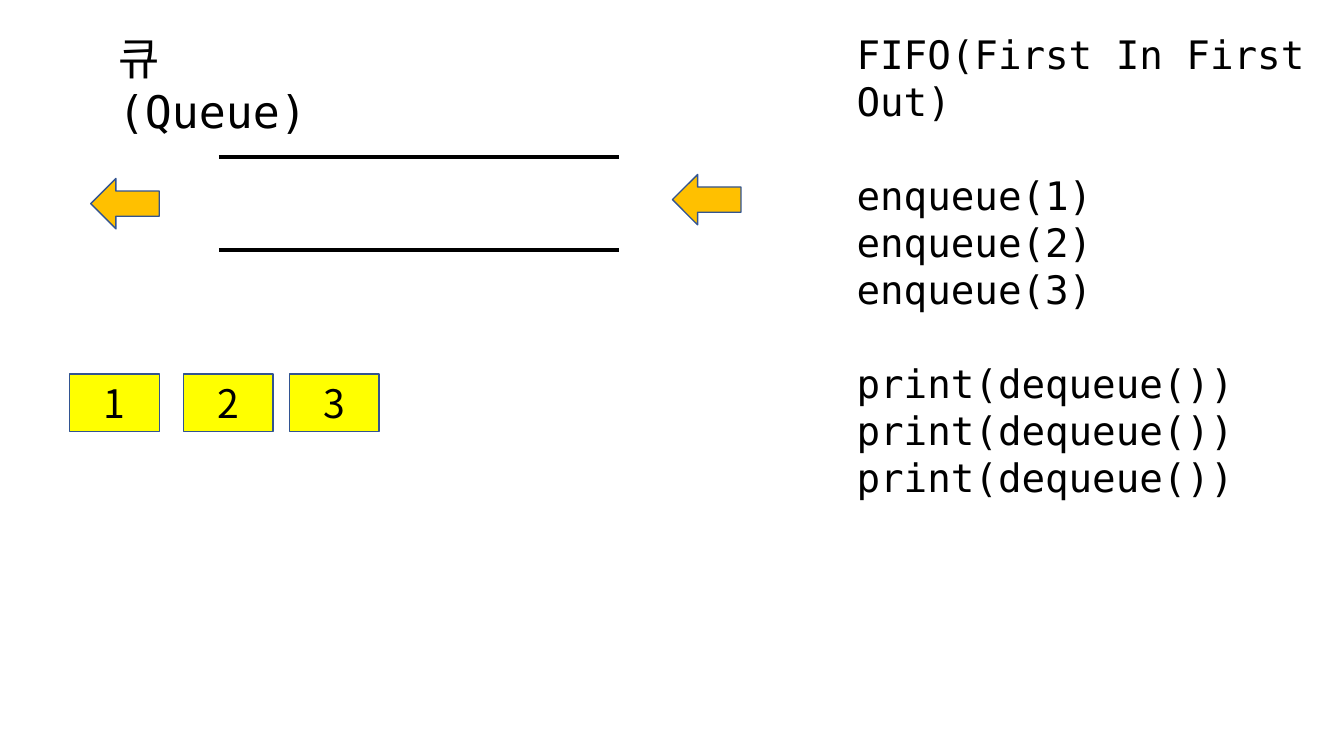
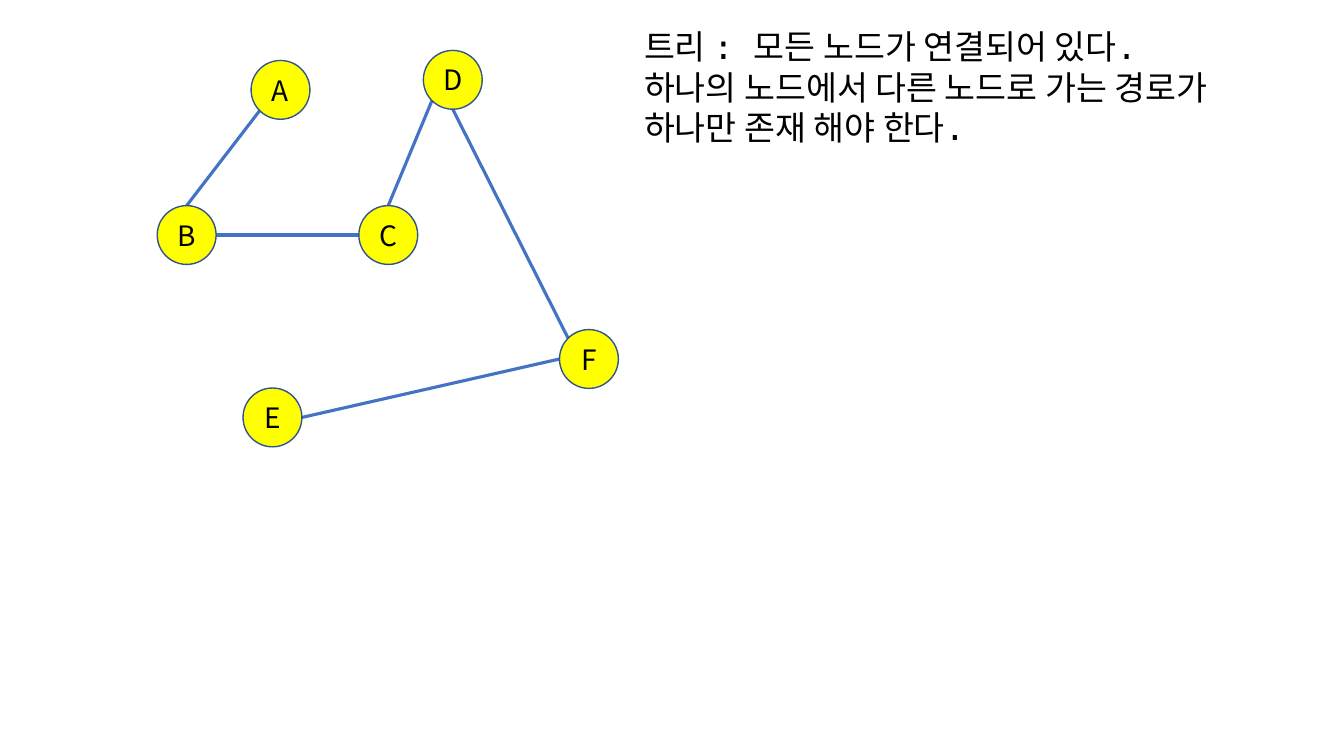
"""Build two slides on data structures: a queue and a tree."""
from math import sqrt

from lxml import etree
from pptx import Presentation
from pptx.dml.color import RGBColor
from pptx.enum.shapes import MSO_CONNECTOR, MSO_SHAPE
from pptx.enum.text import MSO_ANCHOR, MSO_AUTO_SIZE, PP_ALIGN
from pptx.oxml.ns import qn
from pptx.util import Inches, Pt

RECT, OVAL, ARROW = MSO_SHAPE.RECTANGLE, MSO_SHAPE.OVAL, MSO_SHAPE.LEFT_ARROW
STRAIGHT = MSO_CONNECTOR.STRAIGHT
TOP, MIDDLE = MSO_ANCHOR.TOP, MSO_ANCHOR.MIDDLE
LEFT, CENTER = PP_ALIGN.LEFT, PP_ALIGN.CENTER
NO_FIT = MSO_AUTO_SIZE.NONE

BLACK = RGBColor(0x00, 0x00, 0x00)
YELLOW = RGBColor(0xFF, 0xFF, 0x00)
ORANGE = RGBColor(0xFF, 0xC0, 0x00)
BLUE = RGBColor(0x44, 0x72, 0xC4)
OUTLINE = RGBColor(0x32, 0x54, 0x91)
MONO, SANS = "DejaVu Sans Mono", "Noto Sans CJK KR"
LEADING = 1.2

prs = Presentation()
prs.slide_width, prs.slide_height = Inches(13.33), Inches(7.5)
COL, ROW = prs.slide_width / 100, prs.slide_height / 100


def write(sp, text, size, font, align, anchor):
    """Fill a shape with text in one style."""
    tf = sp.text_frame
    tf.text = text
    tf.word_wrap, tf.auto_size, tf.vertical_anchor = True, NO_FIT, anchor
    for p in tf.paragraphs:
        p.alignment, p.line_spacing = align, Pt(size * LEADING)
        for r in p.runs:
            r.font.name, r.font.size, r.font.color.rgb = font, Pt(size), BLACK
            ea = etree.SubElement(r.font._element, qn("a:ea"))
            ea.set("typeface", SANS)
    return tf


def draw(s, kind, box, color, width=1, fill=None, label=""):
    """Add a filled and labelled shape, or without a fill a line between two points."""
    x, y, w, h = [int(n * unit) for n, unit in zip(box, (COL, ROW, COL, ROW))]
    if fill is None:
        sp = s.shapes.add_connector(kind, x, y, w, h)
        etree.SubElement(sp._element.spPr, qn("a:effectLst"))
    else:
        sp = s.shapes.add_shape(kind, x, y, w, h)
        sp.shadow.inherit = False
        sp.fill.solid()
        sp.fill.fore_color.rgb = fill
    sp.line.color.rgb, sp.line.width = color, Pt(width)
    if label:
        tf = write(sp, label, 28 if kind == RECT else 20, SANS, CENTER, MIDDLE)
        tf.margin_left = tf.margin_right = tf.margin_top = tf.margin_bottom = 0


s = prs.slides.add_slide(prs.slide_layouts[5])
title = s.shapes.title
title.left, title.top = int(8.03 * COL), int(3.33 * ROW)
title.width, title.height = int(17.85 * COL), int(8.53 * ROW)
write(title, "큐(Queue)", 32, MONO, LEFT, TOP)

code = ["FIFO(First In First Out)"]
code += [f"enqueue({n})" for n in (1, 2, 3)]
code += ["print(dequeue())"] * 3
sp = s.shapes.add_textbox(int(63 * COL), int(3.33 * ROW), int(40.35 * COL), int(70.4 * ROW))
tf = write(sp, "\n".join(code), 28, MONO, LEFT, TOP)
for i in (1, 4):
    tf.paragraphs[i].space_before = Pt(28 * LEADING)

for y in (20.8, 33.07):
    draw(s, STRAIGHT, (16.28, y, 46.05, y), BLACK, 3)
for label, x in (("1", 5.18), ("2", 13.65), ("3", 21.53)):
    draw(s, RECT, (x, 49.47, 6.68, 7.6), OUTLINE, fill=YELLOW, label=label)
for x, y in ((50.03, 23.07), (6.75, 23.6)):
    draw(s, ARROW, (x, y, 5.1, 6.67), OUTLINE, fill=ORANGE)

s = prs.slides.add_slide(prs.slide_layouts[6])
rule = ["트리 : 모든 노드가 연결되어 있다.",
        "하나의 노드에서 다른 노드로 가는 경로가",
        "하나만 존재 해야 한다."]
sp = s.shapes.add_textbox(int(47.18 * COL), int(2.8 * ROW), int(52.8 * COL), int(17.47 * ROW))
write(sp, "\n".join(rule), 24, MONO, LEFT, TOP)

NODE_W, NODE_H = 4.38, 7.78
nodes = {"A": (18.68, 8), "B": (11.7, 27.2), "C": (26.7, 27.2),
         "D": (31.5, 6.67), "E": (18.08, 51.33), "F": (41.63, 43.6)}
DIAG = 1 / sqrt(2)
SITES = {"top": (0, -1), "bottom": (0, 1), "left": (-1, 0), "right": (1, 0),
         "top left": (-DIAG, -DIAG), "bottom left": (-DIAG, DIAG)}
edges = [("A", "bottom left", "B", "top"), ("C", "left", "B", "right"),
         ("F", "left", "E", "right"), ("F", "top left", "D", "bottom"),
         ("C", "top", "D", "bottom left")]
for start, start_site, end, end_site in edges:
    points = []
    for node, site in ((start, start_site), (end, end_site)):
        (x, y), (dx, dy) = nodes[node], SITES[site]
        points += [x + NODE_W * (1 + dx) / 2, y + NODE_H * (1 + dy) / 2]
    draw(s, STRAIGHT, points, BLUE, 2.25)
for label, (x, y) in nodes.items():
    draw(s, OVAL, (x, y, NODE_W, NODE_H), OUTLINE, fill=YELLOW, label=label)

prs.save("out.pptx")
